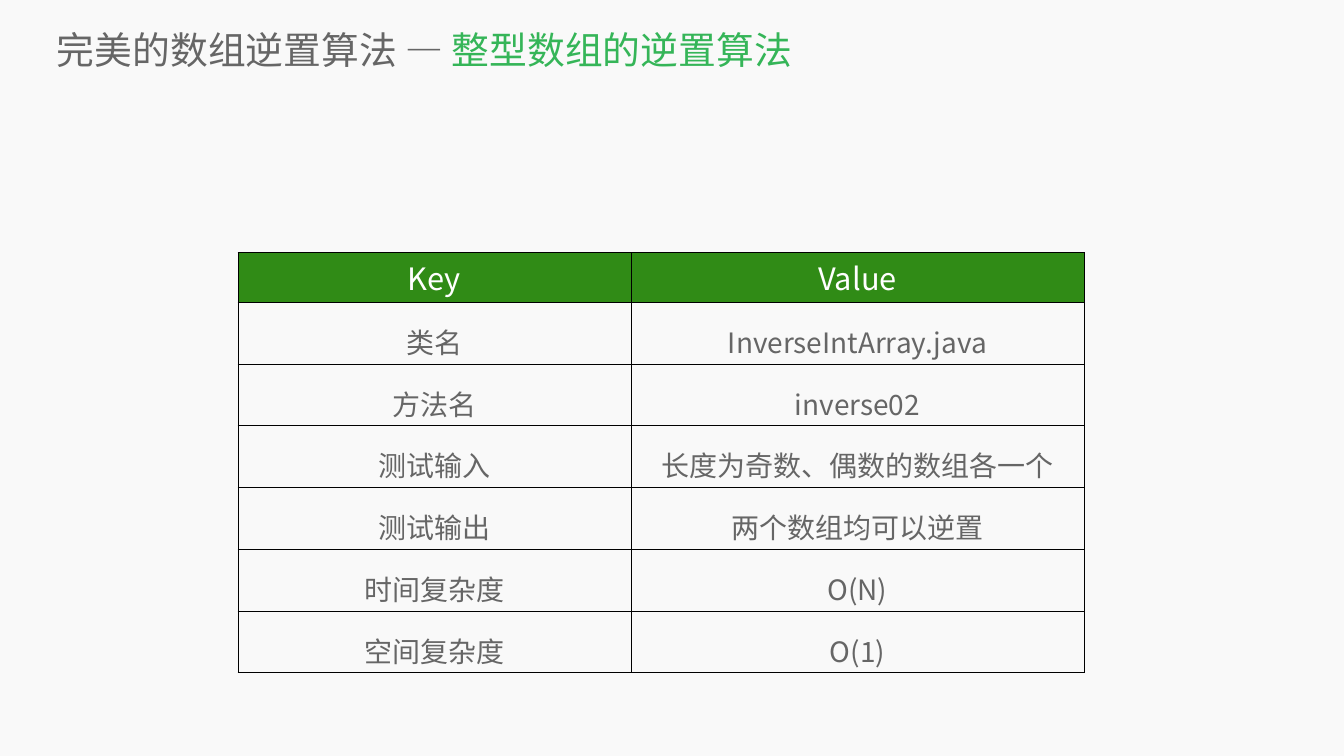
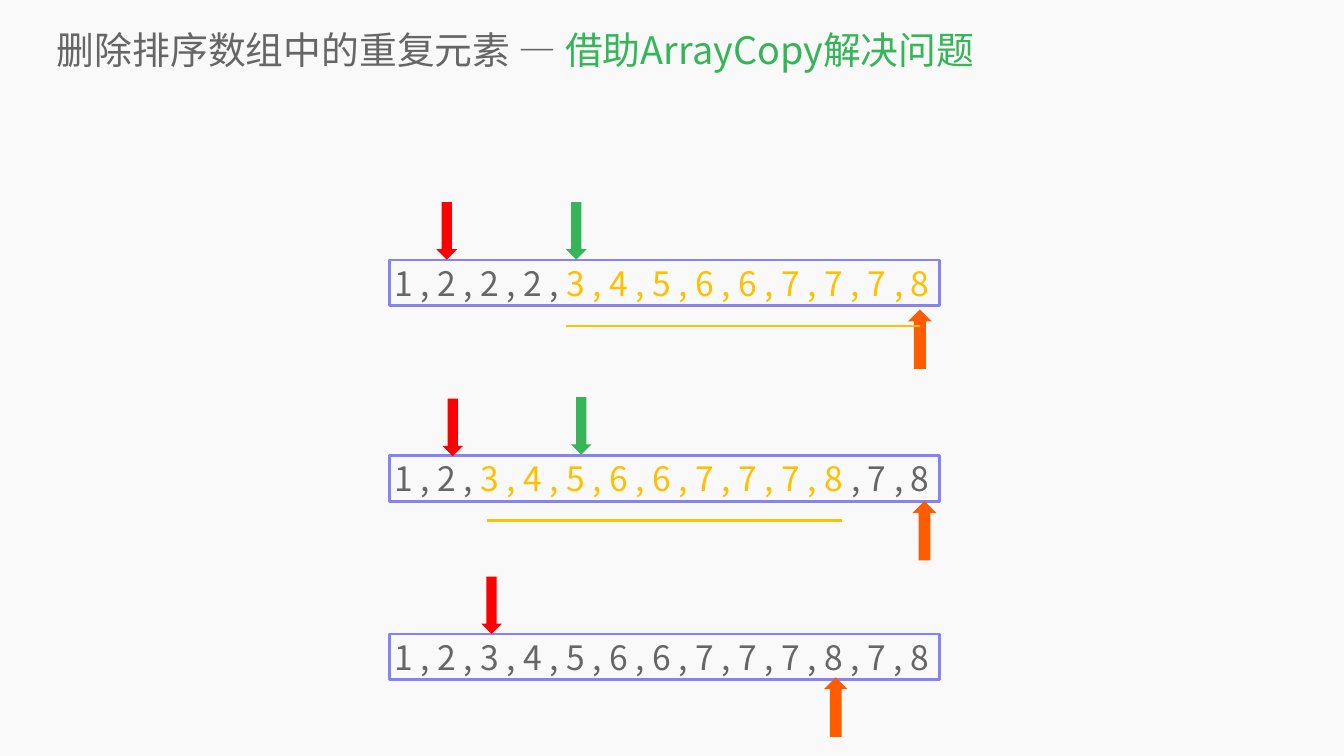
from lxml import etree
from pptx import Presentation
from pptx import util as u
from pptx.dml.color import RGBColor
from pptx.enum import shapes, text
from pptx.oxml.ns import qn

FONT = "Noto Sans CJK SC"
COLORS = {
    "background": "F9F9F9", "text": "666666", "accent": "35B558",
    "header": "308B16", "white": "FFFFFF", "border": "000000",
    "frame": "8881F0", "copied": "FFC000",
    "red": "FF0000", "green": "35B558", "orange": "FF5C00",
}
PX = 9144  # one px is 1/100 inch
SLIDE_SIZE = (2667, 1500)
TITLE_BOX = (113, 47, 2516, 102)

TABLE_TITLE = [("完美的数组逆置算法 — ", "text"), ("整型数组的逆置算法", "accent")]
TABLE_LEFT, TABLE_TOP = 472, 501
COLUMN_WIDTHS = (780, 899)
HEADER_HEIGHT, ROW_HEIGHT = 85, 83
TABLE_ROWS = [
    ("Key", "Value"),
    ("类名", "InverseIntArray.java"),
    ("方法名", "inverse02"),
    ("测试输入", "长度为奇数、偶数的数组各一个"),
    ("测试输出", "两个数组均可以逆置"),
    ("时间复杂度", "O(N)"),
    ("空间复杂度", "O(1)"),
]

ARRAY_TITLE = [("删除排序数组中的重复元素 — ", "text"), ("借助ArrayCopy解决问题", "accent")]
ARRAY_LEFT, ARRAY_WIDTH, ARRAY_HEIGHT = 773, 1091, 91
UNDERLINE_WIDTH = 703
ARROWS = {  # colour: preset, width, height
    "red": (shapes.MSO_SHAPE.DOWN_ARROW, 41, 114),
    "green": (shapes.MSO_SHAPE.DOWN_ARROW, 41, 114),
    "orange": (shapes.MSO_SHAPE.UP_ARROW, 47, 118),
}
ARRAY_STEPS = [
    {"top": 516,
     "runs": [("1 , 2 , 2 , 2 , ", "text"),
              ("3 , 4 , 5 , 6 , 6 , 7 , 7 , 7 , 8", "copied")],
     "arrows": [("red", 866, 401), ("green", 1123, 401), ("orange", 1802, 614)],
     "underline": (1123, 647)},
    {"top": 904,
     "runs": [("1 , 2 , ", "text"),
              ("3 , 4 , 5 , 6 , 6 , 7 , 7 , 7 , 8 ", "copied"),
              (", 7 , 8", "text")],
     "arrows": [("red", 878, 791), ("green", 1133, 788), ("orange", 1811, 994)],
     "underline": (967, 1033)},
    {"top": 1258,
     "runs": [("1 , 2 , 3 , 4 , 5 , 6 , 6 , 7 , 7 , 7 , 8 , 7 , 8", "text")],
     "arrows": [("red", 955, 1144), ("orange", 1635, 1344)],
     "underline": None},
]


def rgb(name):
    return RGBColor.from_string(COLORS[name])


def emu(*lengths):
    return [u.Emu(length * PX) for length in lengths]


def write(frame, runs, size, align=text.PP_ALIGN.LEFT, spacing=None):
    """Fill a text frame with one paragraph of (words, colour) runs."""
    paragraph = frame.paragraphs[0]
    paragraph.alignment = align
    if spacing:
        paragraph.line_spacing = spacing
    for words, color in runs:
        run = paragraph.add_run()
        run.text = words
        run.font.size = u.Pt(size)
        run.font.name = FONT
        run.font.color.rgb = rgb(color)
        etree.SubElement(run._r.get_or_add_rPr(), qn("a:ea"), typeface=FONT)


def style_master(presentation):
    fill = presentation.slide_master.background.fill
    fill.solid()
    fill.fore_color.rgb = rgb("background")
    title = presentation.slide_layouts[0].placeholders[0]
    title.left, title.top, title.width, title.height = emu(*TITLE_BOX)
    frame = title.text_frame
    frame.margin_left = frame.margin_top = frame.margin_right = frame.margin_bottom = 0
    frame.vertical_anchor = text.MSO_ANCHOR.MIDDLE
    frame.auto_size = text.MSO_AUTO_SIZE.NONE


def add_titled_slide(presentation, title_runs):
    slide = presentation.slides.add_slide(presentation.slide_layouts[0])
    subtitle = slide.placeholders[1].element
    subtitle.getparent().remove(subtitle)
    write(slide.shapes.title.text_frame, title_runs, size=54)
    return slide


def set_cell_borders(cell):
    properties = cell._tc.get_or_add_tcPr()
    for side in ("lnL", "lnR", "lnT", "lnB"):
        line = etree.SubElement(properties, qn(f"a:{side}"), w=str(u.Pt(1)))
        fill = etree.SubElement(line, qn("a:solidFill"))
        etree.SubElement(fill, qn("a:srgbClr"), val=COLORS["border"])


def add_summary_table(slide):
    height = HEADER_HEIGHT + ROW_HEIGHT * (len(TABLE_ROWS) - 1)
    table = slide.shapes.add_table(
        len(TABLE_ROWS), len(COLUMN_WIDTHS),
        *emu(TABLE_LEFT, TABLE_TOP, sum(COLUMN_WIDTHS), height)).table
    table.first_row = table.horz_banding = False
    for column, width in zip(table.columns, COLUMN_WIDTHS):
        column.width = u.Emu(width * PX)
    for index, values in enumerate(TABLE_ROWS):
        is_header = index == 0
        table.rows[index].height = u.Emu((HEADER_HEIGHT if is_header else ROW_HEIGHT) * PX)
        for cell, value in zip(table.rows[index].cells, values):
            set_cell_borders(cell)
            if is_header:
                cell.fill.solid()
                cell.fill.fore_color.rgb = rgb("header")
                write(cell.text_frame, [(value, "white")], size=44,
                      align=text.PP_ALIGN.CENTER)
            else:
                cell.fill.background()
                write(cell.text_frame, [(value, "text")], size=40,
                      align=text.PP_ALIGN.CENTER, spacing=1.4)


def add_array_box(group, top, runs):
    box = group.shapes.add_shape(
        shapes.MSO_SHAPE.RECTANGLE, *emu(ARRAY_LEFT, top, ARRAY_WIDTH, ARRAY_HEIGHT))
    box.shadow.inherit = False
    box.fill.background()
    box.line.color.rgb = rgb("frame")
    box.line.width = u.Pt(4)
    box.text_frame.word_wrap = False
    box.text_frame.vertical_anchor = text.MSO_ANCHOR.MIDDLE
    write(box.text_frame, runs, size=48)


def add_pointer(group, color, left, top):
    preset, width, height = ARROWS[color]
    arrow = group.shapes.add_shape(preset, *emu(left, top, width, height))
    arrow.shadow.inherit = False
    arrow.fill.solid()
    arrow.fill.fore_color.rgb = rgb(color)
    arrow.line.fill.background()


def add_underline(group, left, top):
    line = group.shapes.add_connector(
        shapes.MSO_CONNECTOR.STRAIGHT, *emu(left, top, left + UNDERLINE_WIDTH, top))
    line.line.color.rgb = rgb("copied")
    line.line.width = u.Pt(4)
    etree.SubElement(line.element.spPr, qn("a:effectLst"))


def add_array_step(slide, step):
    group = slide.shapes.add_group_shape()
    add_array_box(group, step["top"], step["runs"])
    for color, left, top in step["arrows"]:
        add_pointer(group, color, left, top)
    if step["underline"]:
        add_underline(group, *step["underline"])


def main():
    presentation = Presentation()
    presentation.slide_width, presentation.slide_height = emu(*SLIDE_SIZE)
    style_master(presentation)
    add_summary_table(add_titled_slide(presentation, TABLE_TITLE))
    array_slide = add_titled_slide(presentation, ARRAY_TITLE)
    for step in ARRAY_STEPS:
        add_array_step(array_slide, step)
    presentation.save("out.pptx")


if __name__ == "__main__":
    main()
